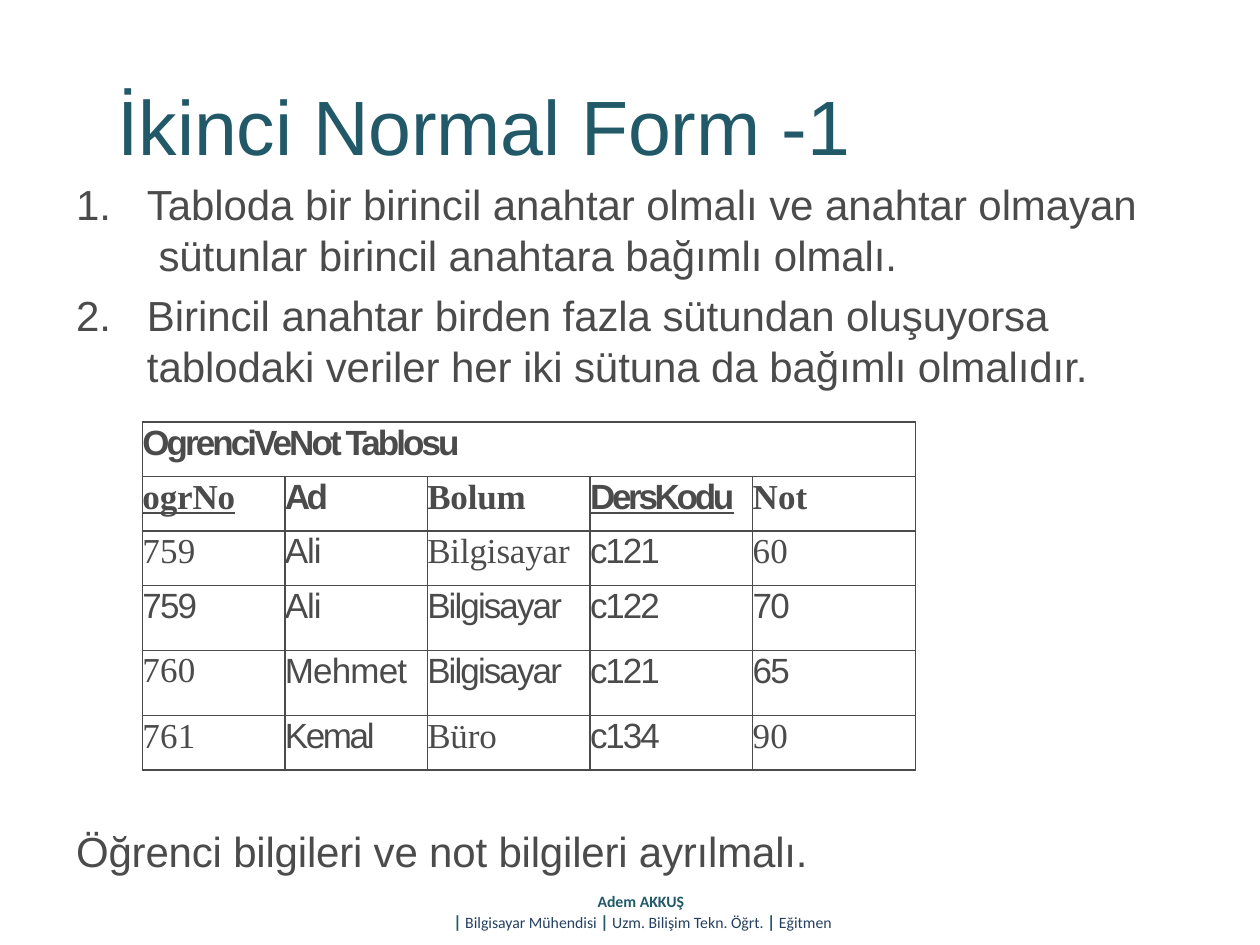
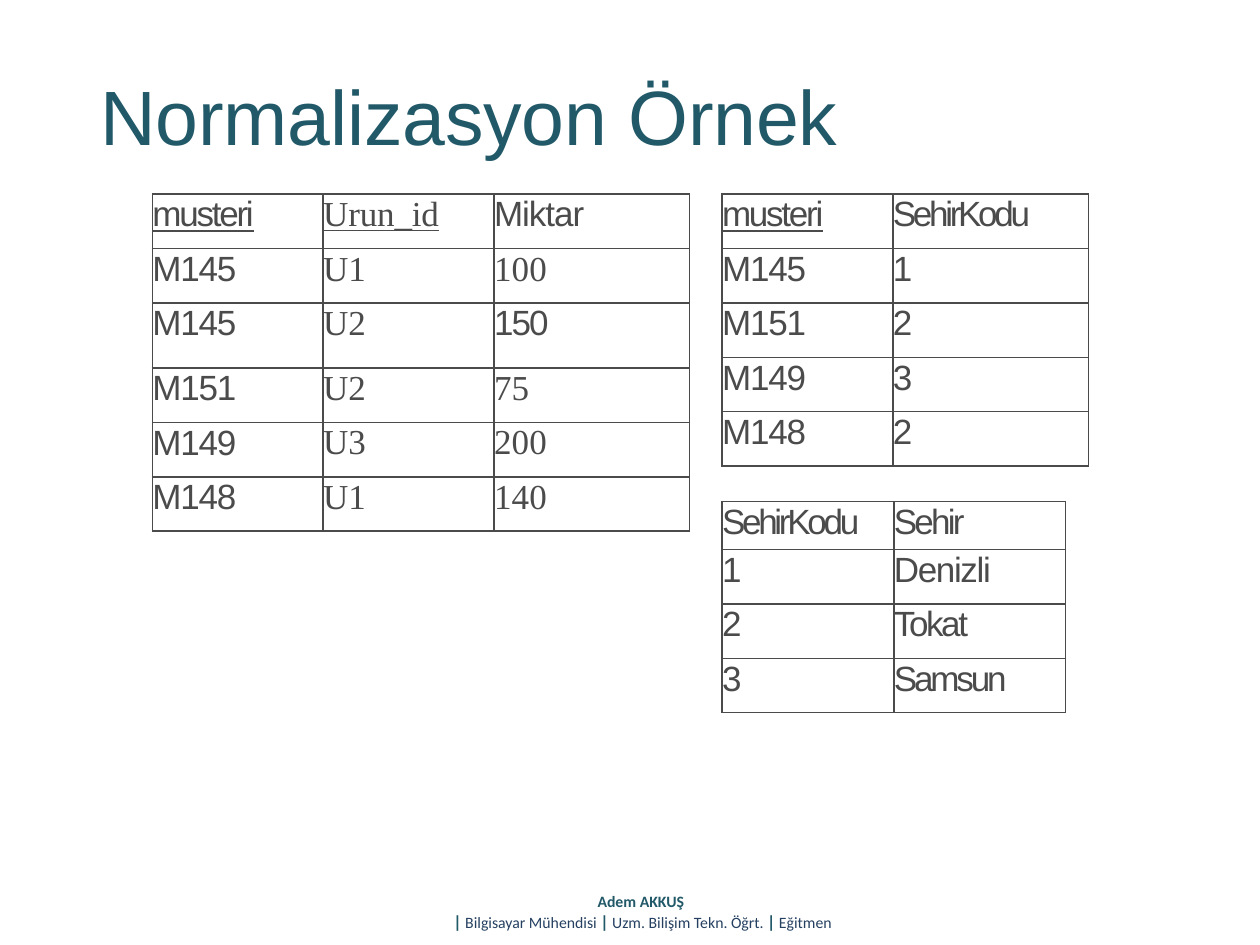
from dataclasses import dataclass

from lxml import etree
from pptx import Presentation
from pptx.dml.color import RGBColor
from pptx.enum.text import MSO_ANCHOR, MSO_AUTO_SIZE, PP_ALIGN
from pptx.oxml.ns import qn
from pptx.util import Pt

TEAL = RGBColor(0x21, 0x59, 0x68)
NAVY = RGBColor(0x25, 0x40, 0x61)
GRAY = RGBColor(0x4B, 0x4B, 0x4B)
SANS, SERIF, FOOTER_FONT = "Arial", "Times New Roman", "Calibri"

TITLE_ONLY = 5
TOP_INSET = 0.72
ROW, TALL_ROW, SHORT_ROW = 31.1, 37.2, 27.4
KEY_COLUMN, WIDE_COLUMN = 97.6, 111.8


@dataclass
class Cell:
    text: str
    spacing: float = 0
    font: str = SANS
    bold: bool = False
    underline: bool = False


def serif(text, spacing=-0.1, **style):
    return Cell(text, spacing, SERIF, **style)


def number(text):
    return serif(text, 0.1)


# Shared text helpers
def format_run(run, size, color, font=SANS, spacing=0.0, bold=False, underline=False):
    run.font.size = Pt(size)
    run.font.name = font
    run.font.color.rgb = color
    run.font.bold = bold
    run.font.underline = underline
    run._r.get_or_add_rPr().set("spc", str(round(spacing * 100)))


def format_paragraph(paragraph, size, color, space_before, **style):
    paragraph.space_before = Pt(space_before)
    for run in paragraph.runs:
        format_run(run, size, color, **style)


def prepare_frame(shape, top_inset=TOP_INSET):
    frame = shape.text_frame
    frame.margin_left = frame.margin_right = frame.margin_bottom = 0
    frame.margin_top = Pt(top_inset)
    frame.word_wrap = True
    frame.auto_size = MSO_AUTO_SIZE.SHAPE_TO_FIT_TEXT
    frame.vertical_anchor = MSO_ANCHOR.TOP
    return frame


def add_text_box(slide, left, top, width, height, top_inset=TOP_INSET):
    box = slide.shapes.add_textbox(Pt(left), Pt(top), Pt(width), Pt(height))
    return prepare_frame(box, top_inset)


# Parts found on every slide
def set_title(slide, text, left, top, width, height):
    title = slide.shapes.title
    title.left, title.top, title.width, title.height = map(Pt, (left, top, width, height))
    frame = prepare_frame(title)
    frame.text = text
    paragraph = frame.paragraphs[0]
    paragraph.alignment = PP_ALIGN.LEFT
    paragraph._p.get_or_add_pPr().set("marL", str(Pt(1)))
    format_paragraph(paragraph, 44, TEAL, 0.9, spacing=-0.1)


def add_footer(slide, left=216, top=509.8, width=302.4, height=23):
    paragraph = add_text_box(slide, left, top, width, height, 0).paragraphs[0]
    paragraph.alignment = PP_ALIGN.CENTER

    def add_run(text, size, color, bold):
        run = paragraph.add_run()
        run.text = text
        format_run(run, size, color, FOOTER_FONT, bold=bold)

    add_run("Adem AKKUŞ ", 9, TEAL, True)
    paragraph.add_line_break()
    for role in (" Bilgisayar Mühendisi ", " Uzm. Bilişim Tekn. Öğrt. ", " Eğitmen"):
        add_run("|", 10, TEAL, True)
        add_run(role, 9, NAVY, False)


# Tables
def add_borders(cell):
    properties = cell._tc.get_or_add_tcPr()
    for position, side in enumerate(("lnL", "lnR", "lnT", "lnB")):
        line = etree.Element(qn(f"a:{side}"), w=str(Pt(1)))
        fill = etree.SubElement(line, qn("a:solidFill"))
        etree.SubElement(fill, qn("a:srgbClr"), val=str(GRAY))
        properties.insert(position, line)


def fill_cell(cell, content):
    cell.margin_left = cell.margin_right = cell.margin_bottom = 0
    cell.margin_top = Pt(TOP_INSET)
    cell.vertical_anchor = MSO_ANCHOR.TOP
    cell.text_frame.text = content.text
    format_paragraph(cell.text_frame.paragraphs[0], 20, GRAY, 0.8, font=content.font,
                     spacing=content.spacing, bold=content.bold,
                     underline=content.underline)


def add_grid(slide, left, top, widths, heights, rows):
    table = slide.shapes.add_table(len(heights), len(widths), Pt(left), Pt(top),
                                   Pt(sum(widths)), Pt(sum(heights))).table
    table.first_row = table.horz_banding = False
    for column, width in zip(table.columns, widths):
        column.width = Pt(width)
    for row, height in zip(table.rows, heights):
        row.height = Pt(height)
        for cell in row.cells:
            cell.fill.background()
            add_borders(cell)
    for row, contents in zip(table.rows, rows):
        for cell, content in zip(row.cells, contents):
            fill_cell(cell, content)
    return table


# Numbered rules
def add_numbered_list(slide, items, left, top, width, height):
    frame = add_text_box(slide, left, top, width, height)
    for index, item in enumerate(items):
        paragraph = frame.add_paragraph() if index else frame.paragraphs[0]
        paragraph.text = item
        format_paragraph(paragraph, 24, GRAY, 5.8 if index else 1, spacing=-0.05)
        properties = paragraph._p.get_or_add_pPr()
        properties.set("marL", str(Pt(41.5)))
        properties.set("indent", str(-Pt(40.5)))
        etree.SubElement(properties, qn("a:buFont"), typeface=SANS)
        etree.SubElement(properties, qn("a:buAutoNum"), type="arabicPeriod")


def build_second_normal_form(slide):
    set_title(slide, "İkinci Normal Form -1", 66.2, 43.9, 422.6, 54.7)
    add_numbered_list(slide, (
        "Tabloda bir birincil anahtar olmalı ve anahtar olmayan"
        "\v sütunlar birincil anahtara bağımlı olmalı.",
        "Birincil anahtar birden fazla sütundan oluşuyorsa"
        "\vtablodaki veriler her iki sütuna da bağımlı olmalıdır.",
    ), 42.5, 101.5, 613.4, 123.1)

    conclusion = add_text_box(slide, 42.5, 470.9, 424.1, 31)
    conclusion.text = "Öğrenci bilgileri ve not bilgileri ayrılmalı."
    conclusion.paragraphs[0]._p.get_or_add_pPr().set("marL", str(Pt(1)))
    format_paragraph(conclusion.paragraphs[0], 24, GRAY, 1, spacing=-0.1)

    grades = add_grid(
        slide, 81.4, 241.2, [81.4] * 2 + [93] * 3,
        [ROW] * 3 + [TALL_ROW] * 2 + [ROW],
        [
            [Cell("OgrenciVeNot Tablosu", -1.7, bold=True)],
            [serif("ogrNo", bold=True, underline=True), Cell("Ad", -2, bold=True),
             serif("Bolum", bold=True), Cell("DersKodu", -1.9, bold=True, underline=True),
             serif("Not", 0, bold=True)],
            [number("759"), Cell("Ali", -0.6), serif("Bilgisayar"), Cell("c121", -1.2),
             number("60")],
            [Cell("759", -1.1), Cell("Ali", -0.6), Cell("Bilgisayar", -1.1),
             Cell("c122", -1.2), Cell("70", -1.1)],
            [number("760"), Cell("Mehmet", -0.5), Cell("Bilgisayar", -1.1),
             Cell("c121", -1.2), Cell("65", -1.1)],
            [number("761"), Cell("Kemal", -1.4), serif("Büro"), Cell("c134", -1.2),
             number("90")],
        ])
    grades.cell(0, 0).merge(grades.cell(0, 4))


def build_normalization_example(slide):
    set_title(slide, "Normalizasyon Örnek", 56.2, 38.2, 608.4, 54.7)
    customer_header = Cell("musteri", -1.3, underline=True)
    city_code_header = Cell("SehirKodu", -1.9)
    tables_top, right_tables_left = 110.9, 412.6

    # Orders
    orders = (("M145", "U1", number("100")), ("M145", "U2", Cell("150", -1.1)),
              ("M151", "U2", number("75")), ("M149", "U3", number("200")),
              ("M148", "U1", number("140")))
    add_grid(slide, 87.1, tables_top, [KEY_COLUMN, KEY_COLUMN, WIDE_COLUMN],
             [ROW] * 2 + [TALL_ROW] + [ROW] * 3,
             [[customer_header, serif("Urun_id", underline=True), Cell("Miktar", -0.6)]]
             + [[Cell(customer, -0.7), serif(product), amount]
                for customer, product, amount in orders])

    # Customers and their city codes
    customers = (("M145", "1"), ("M151", "2"), ("M149", "3"), ("M148", "2"))
    add_grid(slide, right_tables_left, tables_top, [KEY_COLUMN, WIDE_COLUMN], [ROW] * 5,
             [[customer_header, city_code_header]]
             + [[Cell(customer, -0.7), Cell(code)] for customer, code in customers])

    # Cities
    cities = (("1", "Denizli", -0.8), ("2", "Tokat", -1.4), ("3", "Samsun", -1.8))
    add_grid(slide, right_tables_left, 286.6, [98.2] * 2, [SHORT_ROW] + [ROW] * 3,
             [[city_code_header, Cell("Sehir", -1.6)]]
             + [[Cell(code), Cell(city, spacing)] for code, city, spacing in cities])


def main():
    presentation = Presentation()
    presentation.slide_width, presentation.slide_height = Pt(720), Pt(540)
    for build in (build_second_normal_form, build_normalization_example):
        slide = presentation.slides.add_slide(presentation.slide_layouts[TITLE_ONLY])
        build(slide)
        add_footer(slide)
    presentation.save("out.pptx")


if __name__ == "__main__":
    main()
